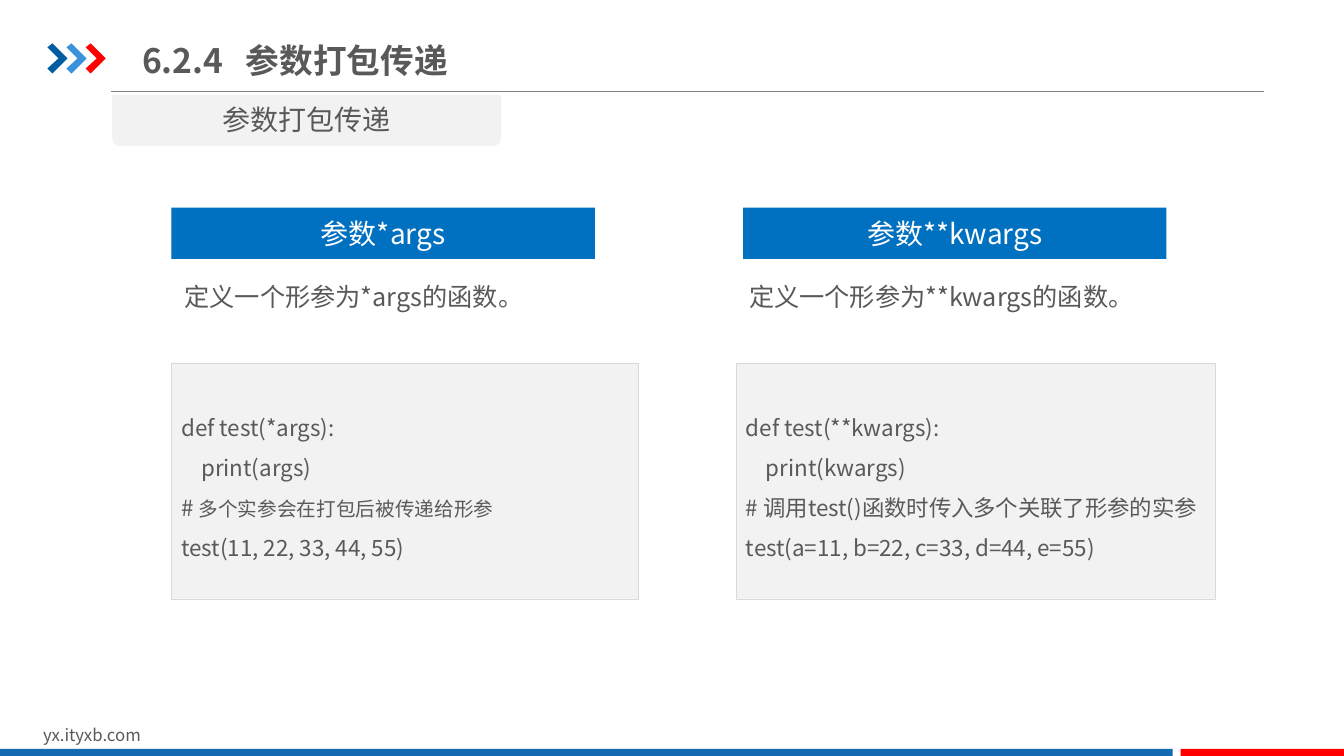
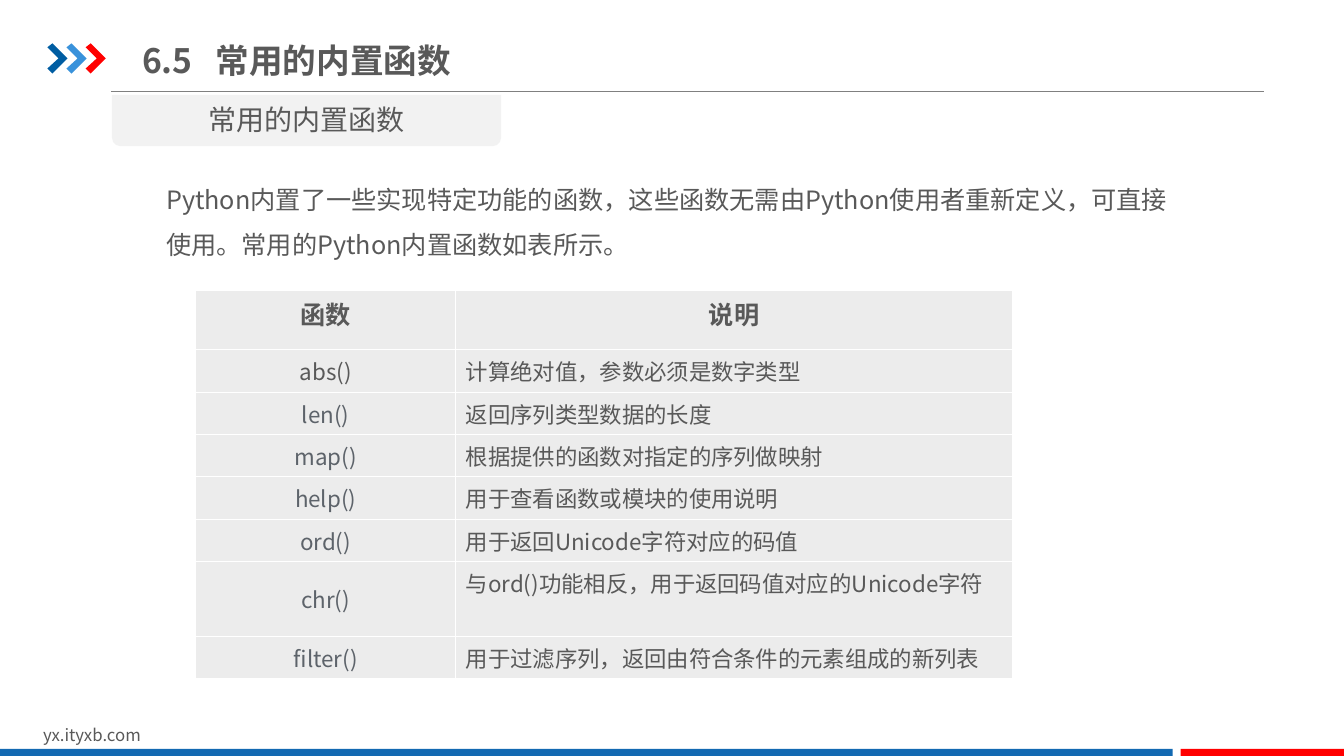
from lxml.etree import SubElement
from pptx import Presentation
from pptx.dml.color import RGBColor
from pptx.enum.shapes import MSO_CONNECTOR, MSO_SHAPE
from pptx.enum.text import MSO_ANCHOR, MSO_AUTO_SIZE, PP_ALIGN
from pptx.oxml.ns import qn
from pptx.util import Emu, Pt

PX = 9144  # EMU in one px, 100 px to the inch
FONT = "Noto Sans CJK SC"

TEXT = RGBColor(0x59, 0x59, 0x59)
NAME_TEXT = RGBColor(0x5D, 0x63, 0x6A)
WHITE = RGBColor(0xFF, 0xFF, 0xFF)
PANEL = RGBColor(0xF2, 0xF2, 0xF2)
PANEL_EDGE = RGBColor(0xD9, 0xD9, 0xD9)
CELL = RGBColor(0xEC, 0xEC, 0xEC)
RULE = RGBColor(0x80, 0x80, 0x80)
HEADER = RGBColor(0x00, 0x70, 0xC0)
BAND = RGBColor(0x13, 0x69, 0xB2)
NAVY = RGBColor(0x00, 0x5D, 0xA2)
SKY = RGBColor(0x39, 0x92, 0xDB)
RED = RGBColor(0xFF, 0x00, 0x00)

CHEVRON = [(0, 4), (5, 0), (20, 15), (5, 30), (0, 25), (11, 15)]

FUNCTIONS = [
    ("函数", "说明"),
    ("abs()", "计算绝对值，参数必须是数字类型"),
    ("len()", "返回序列类型数据的长度"),
    ("map()", "根据提供的函数对指定的序列做映射"),
    ("help()", "用于查看函数或模块的使用说明"),
    ("ord()", "用于返回Unicode字符对应的码值"),
    ("chr()", "与ord()功能相反，用于返回码值对应的Unicode字符"),
    ("filter()", "用于过滤序列，返回由符合条件的元素组成的新列表"),
]


def px(*lengths):
    return [Emu(length * PX) for length in lengths]


def write(frame, *lines, size=18, color=TEXT, bold=False, align=PP_ALIGN.LEFT,
          spacing=1.0, tab=None):
    """Fill a text frame; a line is a string or a list of (text, size) spans."""
    for index, line in enumerate(lines):
        para = frame.paragraphs[0] if index == 0 else frame.add_paragraph()
        if tab:
            tabs = SubElement(para._p.get_or_add_pPr(), qn("a:tabLst"))
            SubElement(tabs, qn("a:tab"), pos=str(tab * PX), algn="l")
        para.alignment = align
        para.line_spacing = spacing
        spans = [(line, size)] if isinstance(line, str) else line
        for text, span_size in spans:
            span = para.add_run()
            span.text = text
            font = span.font
            font.name, font.size, font.bold = FONT, Pt(span_size), bold
            font.color.rgb = color
            SubElement(span._r.get_or_add_rPr(), qn("a:ea"), typeface=FONT)


def set_frame(frame, anchor=MSO_ANCHOR.TOP, insets=(10, 5)):
    frame.word_wrap = True
    frame.auto_size = MSO_AUTO_SIZE.NONE
    frame.vertical_anchor = anchor
    frame.margin_left = frame.margin_right = px(insets[0])[0]
    frame.margin_top = frame.margin_bottom = px(insets[1])[0]


def add_text(page, box, *lines, insets=(10, 5), **style):
    frame = page.shapes.add_textbox(*px(*box)).text_frame
    set_frame(frame, insets=insets)
    write(frame, *lines, **style)


def paint(shape, fill, edge=None):
    shape.shadow.inherit = False
    shape.fill.solid()
    shape.fill.fore_color.rgb = fill
    if edge is None:
        shape.line.fill.background()
    else:
        shape.line.color.rgb = edge
        shape.line.width = Pt(0.25)


def add_panel(page, box, fill, *lines, edge=None, kind=MSO_SHAPE.RECTANGLE, **style):
    panel = page.shapes.add_shape(kind, *px(*box))
    paint(panel, fill, edge)
    if lines:
        set_frame(panel.text_frame, MSO_ANCHOR.MIDDLE)
        write(panel.text_frame, *lines, **style)
    return panel


def add_chevrons(page, left, top):
    group = page.shapes.add_group_shape()
    for index, color in enumerate((NAVY, SKY, RED)):
        points = [(left + 19 * index + x, top + y) for x, y in CHEVRON]
        builder = group.shapes.build_freeform(*points[0], scale=PX)
        builder.add_line_segments(points[1:], close=True)
        paint(builder.convert_to_shape(), color)


def add_rule(page, left, right, top):
    rule = page.shapes.add_connector(MSO_CONNECTOR.STRAIGHT, *px(left, top, right, top))
    rule.line.color.rgb = RULE
    rule.line.width = Pt(0.75)
    SubElement(rule._element.spPr, qn("a:effectLst"))


def add_footer(page, top):
    add_text(page, (33, top, 318, 30), "yx.ityxb.com", size=12)
    add_panel(page, (0, top + 29, 1163, 7), BAND)
    add_panel(page, (1171, top + 29, 162, 7), RED)


def add_topic_tab(page, box, topic):
    left, top, width, height = box
    tab = add_panel(page, box, PANEL, kind=MSO_SHAPE.ROUND_2_SAME_RECTANGLE)
    tab.rotation = 180
    add_text(page, (left, top + 3, width, height - 7), topic, size=20,
             align=PP_ALIGN.CENTER)


def add_page(deck, number, topic, name_offset):
    """Add a slide with the shared frame; the topic starts name_offset px into the title."""
    page = deck.slides.add_slide(deck.slide_layouts[5])
    add_rule(page, 110, 1254, 91)
    add_chevrons(page, 47, 43)
    add_footer(page, 714)
    title = page.shapes.title
    title.left, title.top, title.width, title.height = px(131, 29, 576, 61)
    set_frame(title.text_frame, MSO_ANCHOR.MIDDLE)
    write(title.text_frame, f"{number}\t{topic}", size=24, bold=True, tab=name_offset)
    add_topic_tab(page, (111, 94, 386, 51), topic)
    return page


def add_example(page, box, header, summary, code, header_offset=0):
    left, top, width, height = box
    add_panel(page, (left + header_offset, top, 420, 51), HEADER, header,
              size=20, color=WHITE, align=PP_ALIGN.CENTER)
    add_text(page, (left, top + 51, 433, 59), summary, insets=(13, 7),
             align=PP_ALIGN.JUSTIFY, spacing=1.5)
    add_panel(page, (left, top + 154, width, height - 154), PANEL, *code,
              edge=PANEL_EDGE, size=16, spacing=1.5)


def set_borders(cell):
    properties = cell._tc.get_or_add_tcPr()
    for side in ("lnL", "lnR", "lnT", "lnB"):
        line = SubElement(properties, qn(f"a:{side}"), w=str(Pt(1)))
        fill = SubElement(line, qn("a:solidFill"))
        SubElement(fill, qn("a:srgbClr"), val=str(WHITE))


def add_function_table(page, box, rows, column_widths, header_height):
    table = page.shapes.add_table(len(rows), len(column_widths), *px(*box)).table
    table.first_row = table.horz_banding = False
    for column, width in zip(table.columns, px(*column_widths)):
        column.width = width
    row_height = (box[3] - header_height) // (len(rows) - 1)
    for row_index, texts in enumerate(rows):
        is_header = row_index == 0
        table.rows[row_index].height = px(header_height if is_header else row_height)[0]
        for column_index, text in enumerate(texts):
            cell = table.cell(row_index, column_index)
            set_borders(cell)
            cell.fill.solid()
            cell.fill.fore_color.rgb = CELL
            is_name = column_index == 0 and row_index > 1
            if is_name:
                cell.vertical_anchor = MSO_ANCHOR.MIDDLE
                cell.margin_left = cell.margin_right = px(7)[0]
                cell.margin_top = cell.margin_bottom = 0
            centred = is_header or column_index == 0
            write(cell.text_frame, text, size=18 if is_header else 16, bold=is_header,
                  color=NAME_TEXT if is_name else TEXT,
                  align=PP_ALIGN.CENTER if centred else PP_ALIGN.LEFT)


def add_packing_slide(deck):
    page = add_page(deck, "6.2.4", "参数打包传递", 103)
    add_example(page, (170, 206, 463, 388), "参数*args", "定义一个形参为*args的函数。", [
        "def test(*args):",
        "    print(args)",
        [("# ", 16), ("多个实参会在打包后被传递给形参", 14)],
        "test(11, 22, 33, 44, 55)",
    ])
    add_example(page, (730, 206, 475, 388), "参数**kwargs", "定义一个形参为**kwargs的函数。", [
        "def test(**kwargs):",
        "    print(kwargs)",
        "# 调用test()函数时传入多个关联了形参的实参",
        "test(a=11, b=22, c=33, d=44, e=55)",
    ], header_offset=7)


def add_builtins_slide(deck):
    page = add_page(deck, "6.5", "常用的内置函数", 73)
    add_text(page, (155, 163, 1016, 101),
             "Python内置了一些实现特定功能的函数，这些函数无需由Python使用者重新定义，"
             "可直接使用。常用的Python内置函数如表所示。", spacing=1.5)
    add_function_table(page, (194, 288, 810, 332), FUNCTIONS, (258, 552), 59)


def main():
    deck = Presentation()
    deck.slide_width, deck.slide_height = px(1333, 750)
    add_packing_slide(deck)
    add_builtins_slide(deck)
    deck.save("out.pptx")


if __name__ == "__main__":
    main()
